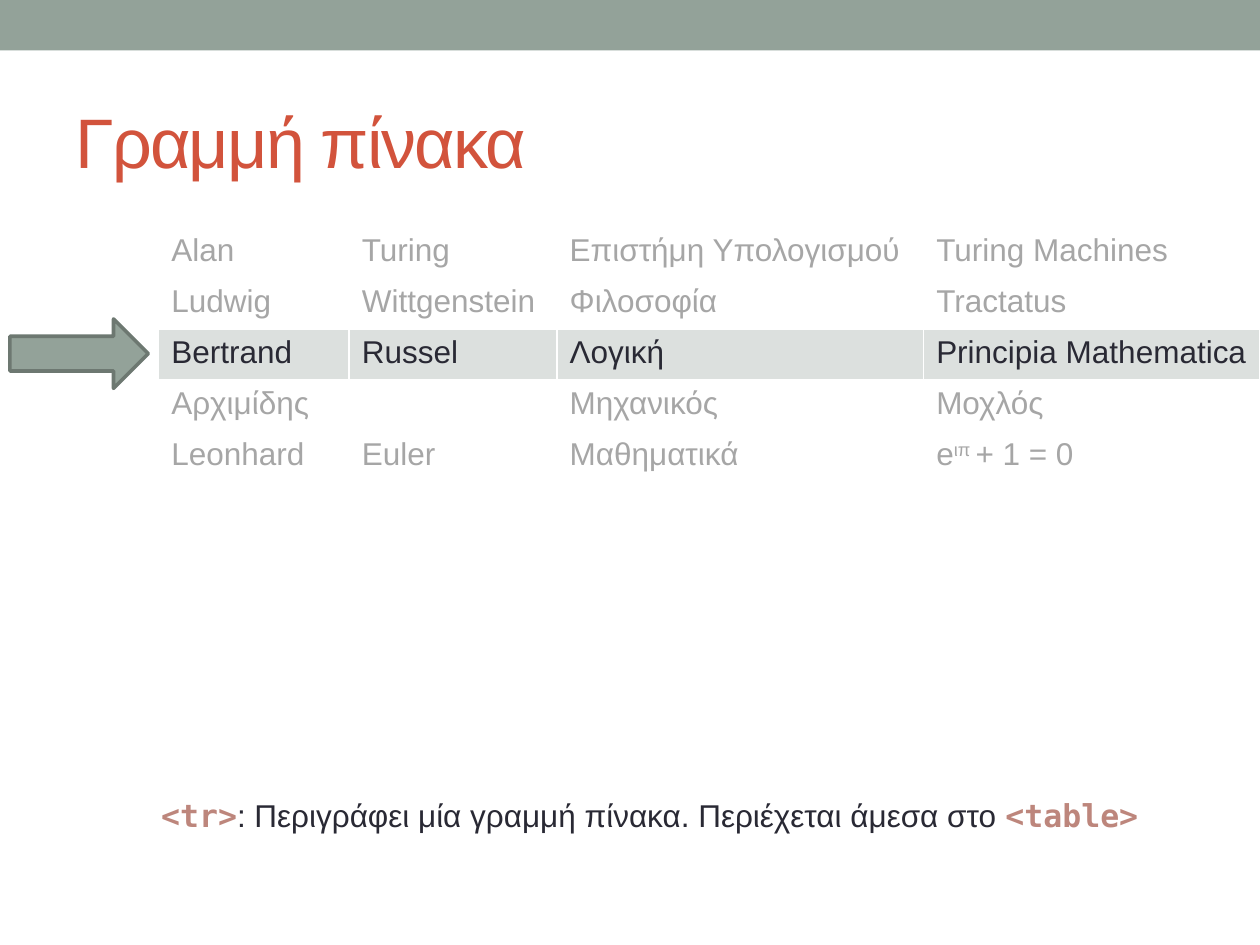
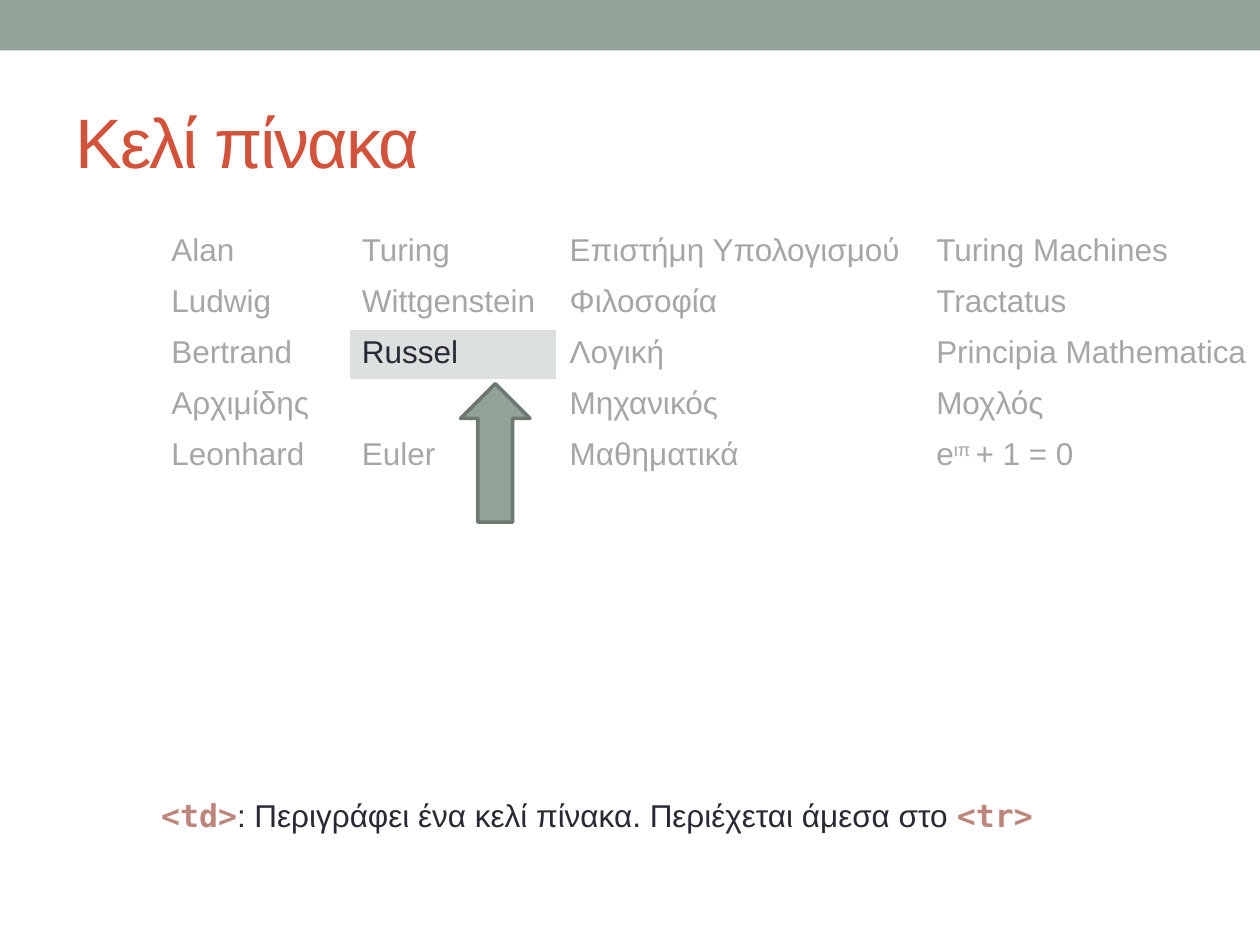
from pptx import Presentation
from pptx.dml.color import RGBColor
from pptx.enum.shapes import MSO_SHAPE
from pptx.enum.text import MSO_ANCHOR
from pptx.oxml.ns import qn
from pptx.util import Cm, Pt
from lxml import etree

RECTANGLE = MSO_SHAPE.RECTANGLE
RIGHT_ARROW = MSO_SHAPE.RIGHT_ARROW
MIDDLE = MSO_ANCHOR.MIDDLE

SAGE = RGBColor(0x93, 0xA2, 0x99)
DARK_SAGE = RGBColor(0x6D, 0x78, 0x71)
PALE_SAGE = RGBColor(0xDC, 0xE0, 0xDE)
RED = RGBColor(0xD2, 0x53, 0x3C)
ROSE = RGBColor(0xBD, 0x86, 0x7C)
INK = RGBColor(0x29, 0x29, 0x34)
GREY = RGBColor(0xA6, 0xA6, 0xA6)

TITLE = {"name": "Arial", "size": Pt(40), "color": RED}
BODY = {"name": "Arial", "size": Pt(18), "color": INK}
FADED = {**BODY, "color": GREY}
CODE = {"name": "DejaVu Sans Mono", "size": Pt(18), "bold": True, "color": ROSE}

COLUMN_WIDTHS = [3.84, 4.19, 7.39, 6.78]
ROW_HEIGHT = 1.03
ROWS = [
    ["Alan", "Turing", "Επιστήμη Υπολογισμού", "Turing Machines"],
    ["Ludwig", "Wittgenstein", "Φιλοσοφία", "Tractatus"],
    ["Bertrand", "Russel", "Λογική", "Principia Mathematica"],
    ["Αρχιμίδης", "", "Μηχανικός", "Μοχλός"],
    ["Leonhard", "Euler", "Μαθηματικά", "e^ιπ ^+ 1 = 0"],  # ^ encloses a superscript
]

SLIDES = [
    {
        "title": "Γραμμή πίνακα",
        "highlighted": [(2, column) for column in range(4)],
        "arrow": (0.2, 6.43, 0),
        "note": ["<tr>", ": Περιγράφει μία γραμμή πίνακα. Περιέχεται άμεσα στο ", "<table>"],
        "note_width": 20.4,
    },
    {
        "title": "Κελί πίνακα",
        "highlighted": [(2, 1)],
        "arrow": (8.59, 8.43, 270),
        "note": ["<td>", ": Περιγράφει ένα κελί πίνακα. Περιέχεται άμεσα στο ", "<tr>"],
        "note_width": 18.26,
    },
]


def add_run(paragraph, text, text_format):
    run = paragraph.add_run()
    run.text = text
    for name, value in text_format.items():
        if name == "color":
            run.font.color.rgb = value
        else:
            setattr(run.font, name, value)
    return run


def add_filled_shape(slide, kind, left, top, width, height):
    shape = slide.shapes.add_shape(kind, Cm(left), Cm(top), Cm(width), Cm(height))
    shape.shadow.inherit = False
    shape.fill.solid()
    shape.fill.fore_color.rgb = SAGE
    shape.line.fill.background()
    return shape


presentation = Presentation()
presentation.slide_width = Cm(25.4)
presentation.slide_height = Cm(19.05)

for content in SLIDES:
    slide = presentation.slides.add_slide(presentation.slide_layouts[6])

    # Top band and title
    add_filled_shape(slide, RECTANGLE, 0, 0, 25.4, 1.02)
    title = slide.shapes.add_textbox(Cm(1.27), Cm(1.47), Cm(22.86), Cm(2.74))
    title.text_frame.word_wrap = True
    title.text_frame.vertical_anchor = MIDDLE
    run = add_run(title.text_frame.paragraphs[0], content["title"], TITLE)
    run.font._element.set("spc", "-100")

    # Table with the highlighted cells
    table = slide.shapes.add_table(
        len(ROWS), len(COLUMN_WIDTHS), Cm(3.2), Cm(4.57),
        Cm(sum(COLUMN_WIDTHS)), Cm(ROW_HEIGHT * len(ROWS))).table
    table.first_row = False
    table.horz_banding = False
    for column, width in zip(table.columns, COLUMN_WIDTHS):
        column.width = Cm(width)
    for row_index, texts in enumerate(ROWS):
        table.rows[row_index].height = Cm(ROW_HEIGHT)
        for column_index, text in enumerate(texts):
            cell = table.cell(row_index, column_index)
            properties = cell._tc.get_or_add_tcPr()
            for side in ("a:lnL", "a:lnR", "a:lnT", "a:lnB"):
                border = etree.SubElement(properties, qn(side), w=str(Pt(1)))
                border_fill = etree.SubElement(border, qn("a:solidFill"))
                etree.SubElement(border_fill, qn("a:srgbClr"), val="FFFFFF")
            highlighted = (row_index, column_index) in content["highlighted"]
            if highlighted:
                cell.fill.solid()
                cell.fill.fore_color.rgb = PALE_SAGE
            else:
                cell.fill.background()
            if not text:
                continue
            for part_index, part in enumerate(text.split("^")):
                run = add_run(cell.text_frame.paragraphs[0], part,
                              BODY if highlighted else FADED)
                if part_index == 1:
                    run.font._element.set("baseline", "30000")

    # Arrow pointing at the highlight
    left, top, rotation = content["arrow"]
    arrow = add_filled_shape(slide, RIGHT_ARROW, left, top, 2.79, 1.4)
    arrow.rotation = rotation
    arrow.line.color.rgb = DARK_SAGE
    arrow.line.width = Pt(2.08)
    etree.SubElement(arrow._element.spPr.find(qn("a:ln")), qn("a:round"))

    # Explanation of the tag
    note = slide.shapes.add_textbox(Cm(3), Cm(15.93), Cm(content["note_width"]), Cm(1.02))
    note.text_frame.word_wrap = False
    for text, text_format in zip(content["note"], (CODE, BODY, CODE)):
        add_run(note.text_frame.paragraphs[0], text, text_format)

presentation.save("out.pptx")
